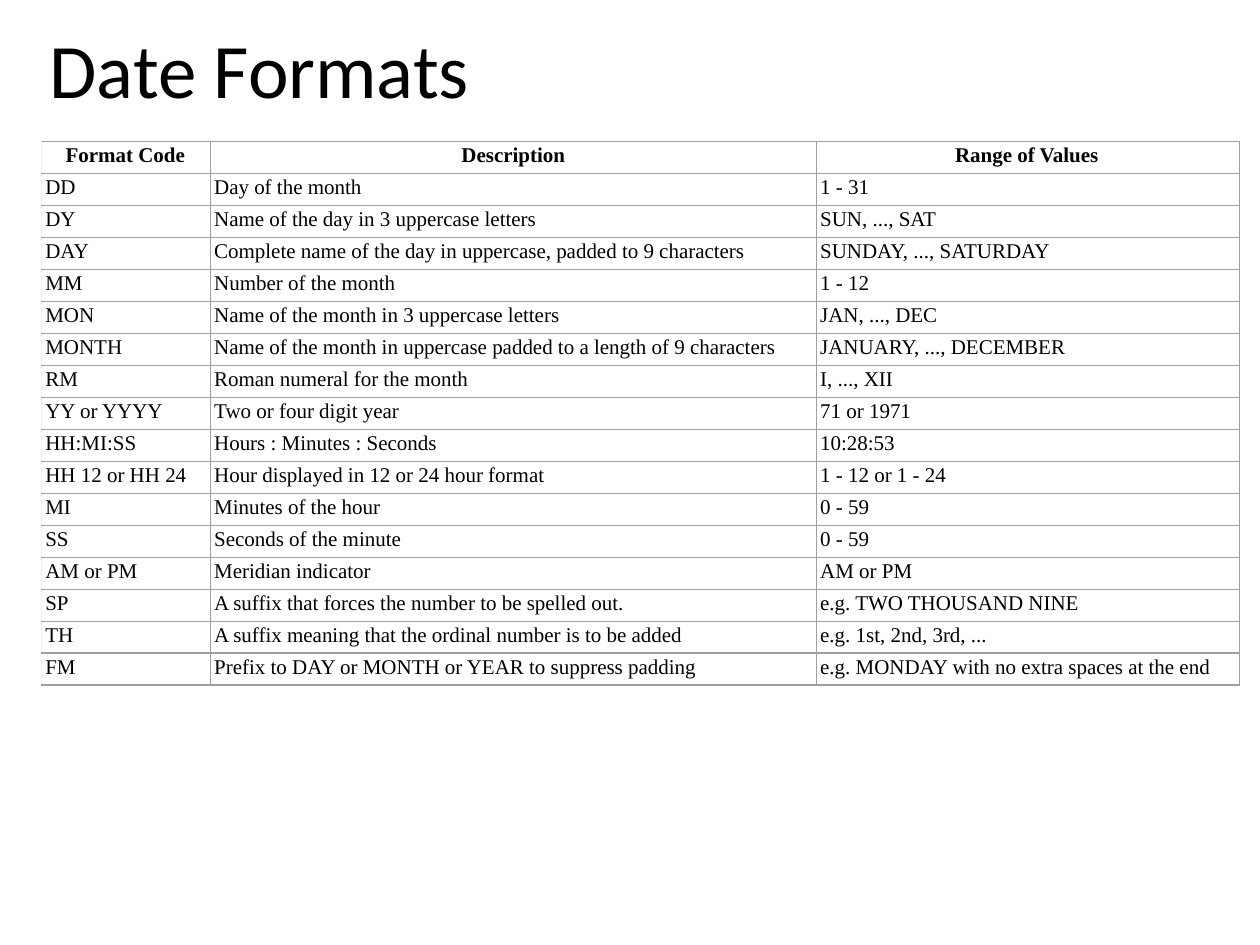
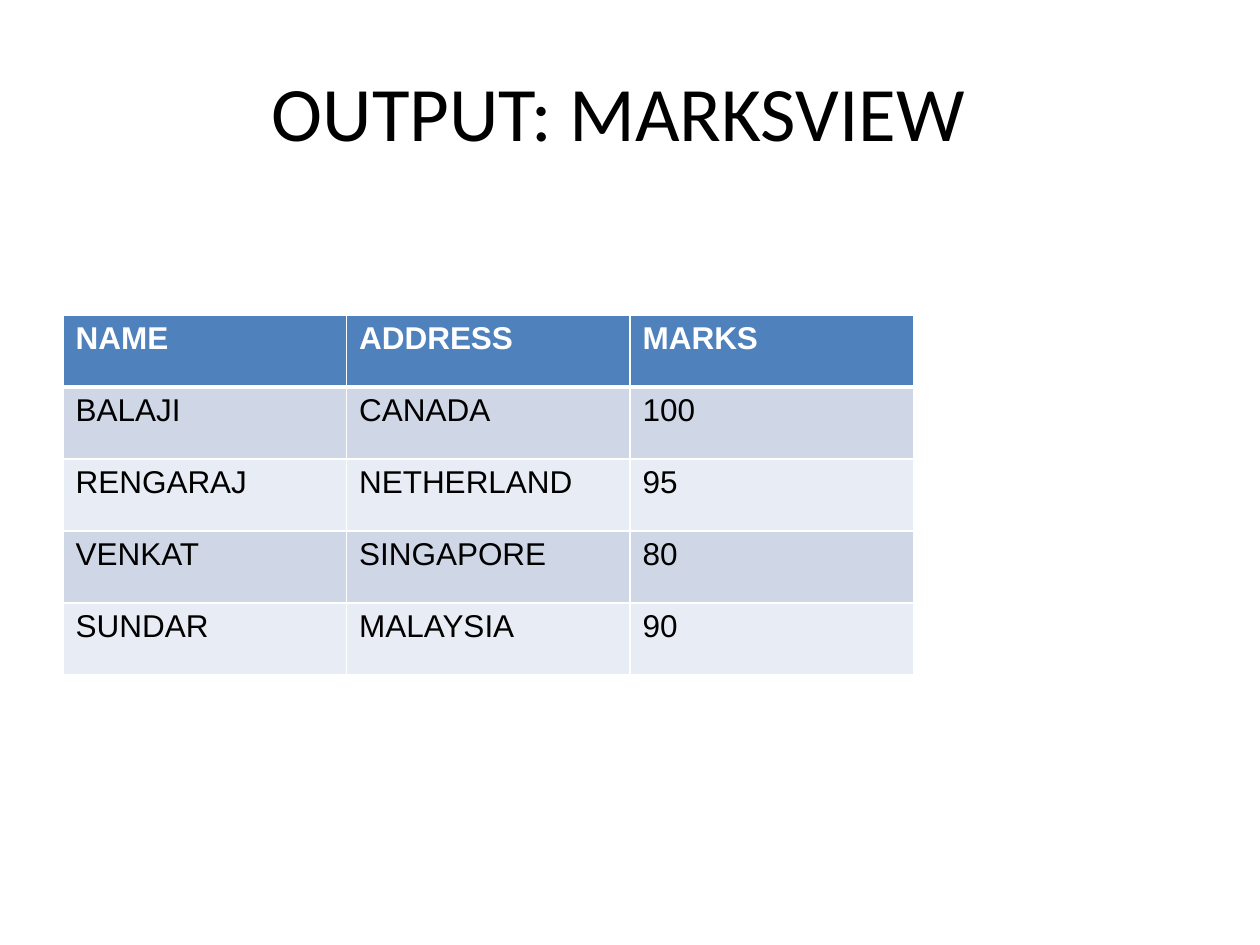
"""Builds two table slides: date format codes and the marks view."""
import dataclasses

import lxml.etree
import pptx
import pptx.dml.color
import pptx.enum.text
import pptx.oxml.ns
import pptx.util

SCALE = 9144
ALIGN = pptx.enum.text.PP_ALIGN


@dataclasses.dataclass(frozen=True)
class Theme:
    title_font: str = "Calibri"
    title_size: int = 44
    ink: str = "000000"
    white: str = "FFFFFF"
    grid: str = "9F9F9F"
    pale_grid: str = "EFEFEF"
    head_fill: str = "4F81BD"
    bands: tuple = ("CFD7E7", "E8ECF4")


@dataclasses.dataclass(frozen=True)
class TableLook:
    font: str
    size: int
    head_ink: str
    line: str
    edge: str
    width: float
    head_rule: float
    insets: tuple
    indent: int = 0
    head_fill: str = ""
    bands: tuple = ("",)


THEME = Theme()
GRID_LOOK = TableLook("Times New Roman", 12, THEME.ink, THEME.grid, THEME.pale_grid,
                      0.75, 0.75, (0, 2, 0, 0), indent=3)
BANDED_LOOK = TableLook("Arial", 18, THEME.white, THEME.white, THEME.white,
                        1, 3, (10, 5, 10, 5),
                        head_fill=THEME.head_fill, bands=THEME.bands)

DATE_FORMATS = [
    ("Format Code", "Description", "Range of Values"),
    ("DD", "Day of the month", "1 - 31"),
    ("DY", "Name of the day in 3 uppercase letters", "SUN, ..., SAT"),
    ("DAY", "Complete name of the day in uppercase, padded to 9 characters",
     "SUNDAY, ..., SATURDAY"),
    ("MM", "Number of the month", "1 - 12"),
    ("MON", "Name of the month in 3 uppercase letters", "JAN, ..., DEC"),
    ("MONTH", "Name of the month in uppercase padded to a length of 9 characters",
     "JANUARY, ..., DECEMBER"),
    ("RM", "Roman numeral for the month", "I, ..., XII"),
    ("YY or YYYY", "Two or four digit year", "71 or 1971"),
    ("HH:MI:SS", "Hours : Minutes : Seconds", "10:28:53"),
    ("HH 12 or HH 24", "Hour displayed in 12 or 24 hour format", "1 - 12 or 1 - 24"),
    ("MI", "Minutes of the hour", "0 - 59"),
    ("SS", "Seconds of the minute", "0 - 59"),
    ("AM or PM", "Meridian indicator", "AM or PM"),
    ("SP", "A suffix that forces the number to be spelled out.",
     "e.g. TWO THOUSAND NINE"),
    ("TH", "A suffix meaning that the ordinal number is to be added",
     "e.g. 1st, 2nd, 3rd, ..."),
    ("FM", "Prefix to DAY or MONTH or YEAR to suppress padding",
     "e.g. MONDAY with no extra spaces at the end"),
]
MARKS = [
    ("NAME", "ADDRESS", "MARKS"),
    ("BALAJI", "CANADA", "100"),
    ("RENGARAJ", "NETHERLAND", "95"),
    ("VENKAT", "SINGAPORE", "80"),
    ("SUNDAR", "MALAYSIA", "90"),
]


def px(length):
    return pptx.util.Emu(length * SCALE)


def rgb(value):
    return pptx.dml.color.RGBColor.from_string(value)


class Builder:
    """Holds the theme and the current slide, and adds elements to it."""

    def __init__(self, theme):
        self.theme = theme
        self.deck = pptx.Presentation()
        self.deck.slide_width, self.deck.slide_height = px(1000), px(750)
        self.page = None

    def add_page(self):
        self.page = self.deck.slides.add_slide(self.deck.slide_layouts[5])

    def set_insets(self, holder, insets):
        (holder.margin_left, holder.margin_top,
         holder.margin_right, holder.margin_bottom) = map(px, insets)

    def set_font(self, para, name, size, color, bold=False):
        font = para.font
        font.name, font.size, font.bold = name, pptx.util.Pt(size), bold
        font.color.rgb = rgb(color)

    def title(self, text, place, insets):
        box = self.page.shapes.title
        box.left, box.top, box.width, box.height = map(px, place)
        frame = box.text_frame
        frame.text = text
        frame.auto_size = pptx.enum.text.MSO_AUTO_SIZE.NONE
        frame.vertical_anchor = pptx.enum.text.MSO_ANCHOR.MIDDLE
        self.set_insets(frame, insets)
        para = frame.paragraphs[0]
        para.alignment = ALIGN.CENTER
        self.set_font(para, self.theme.title_font, self.theme.title_size, self.theme.ink)

    def borders(self, cell, sides):
        properties = cell._tc.get_or_add_tcPr()
        for position, (side, color, width) in enumerate(sides):
            line = lxml.etree.Element(pptx.oxml.ns.qn(f"a:ln{side}"),
                                      w=str(pptx.util.Pt(width)))
            fill = lxml.etree.SubElement(line, pptx.oxml.ns.qn("a:solidFill"))
            lxml.etree.SubElement(fill, pptx.oxml.ns.qn("a:srgbClr"), val=color)
            properties.insert(position, line)

    def cell(self, cell, text, row, column, look, head_layout):
        is_head = row == 0
        cell.text = text
        self.set_insets(cell, look.insets)
        para = cell.text_frame.paragraphs[0]
        align, indent = head_layout[column] if is_head else (ALIGN.LEFT, look.indent)
        para.alignment = align
        para._p.get_or_add_pPr().set("marL", str(px(indent)))
        self.set_font(para, look.font, look.size,
                      look.head_ink if is_head else self.theme.ink, is_head)
        fill = look.head_fill if is_head else look.bands[(row - 1) % len(look.bands)]
        if fill:
            cell.fill.solid()
            cell.fill.fore_color.rgb = rgb(fill)
        else:
            cell.fill.background()
        self.borders(cell, [
            ("L", look.line if column else look.edge, look.width),
            ("R", look.line, look.width),
            ("T", look.line, look.head_rule if row == 1 else look.width),
            ("B", look.line, look.head_rule if is_head else look.width),
        ])

    def table(self, records, corner, widths, height, look, head_layout):
        place = map(px, (*corner, sum(widths), height))
        table = self.page.shapes.add_table(len(records), len(widths), *place).table
        for column, width in zip(table.columns, widths):
            column.width = px(width)
        for row, record in enumerate(records):
            for column, text in enumerate(record):
                self.cell(table.cell(row, column), text, row, column, look, head_layout)


def main():
    builder = Builder(THEME)

    builder.add_page()
    builder.title("Date Formats", (35, 15, 342, 76), (0, 1, 0, 0))
    builder.table(DATE_FORMATS, (33, 112), (134, 481, 336), 432, GRID_LOOK,
                  [(ALIGN.LEFT, 19), (ALIGN.CENTER, 0), (ALIGN.LEFT, 110)])

    builder.add_page()
    builder.title("OUTPUT: MARKSVIEW ", (48, 25, 900, 125), (10, 5, 10, 5))
    builder.table(MARKS, (50, 250), [225] * 3, 286, BANDED_LOOK, [(ALIGN.LEFT, 0)] * 3)

    builder.deck.save("out.pptx")


if __name__ == "__main__":
    main()
